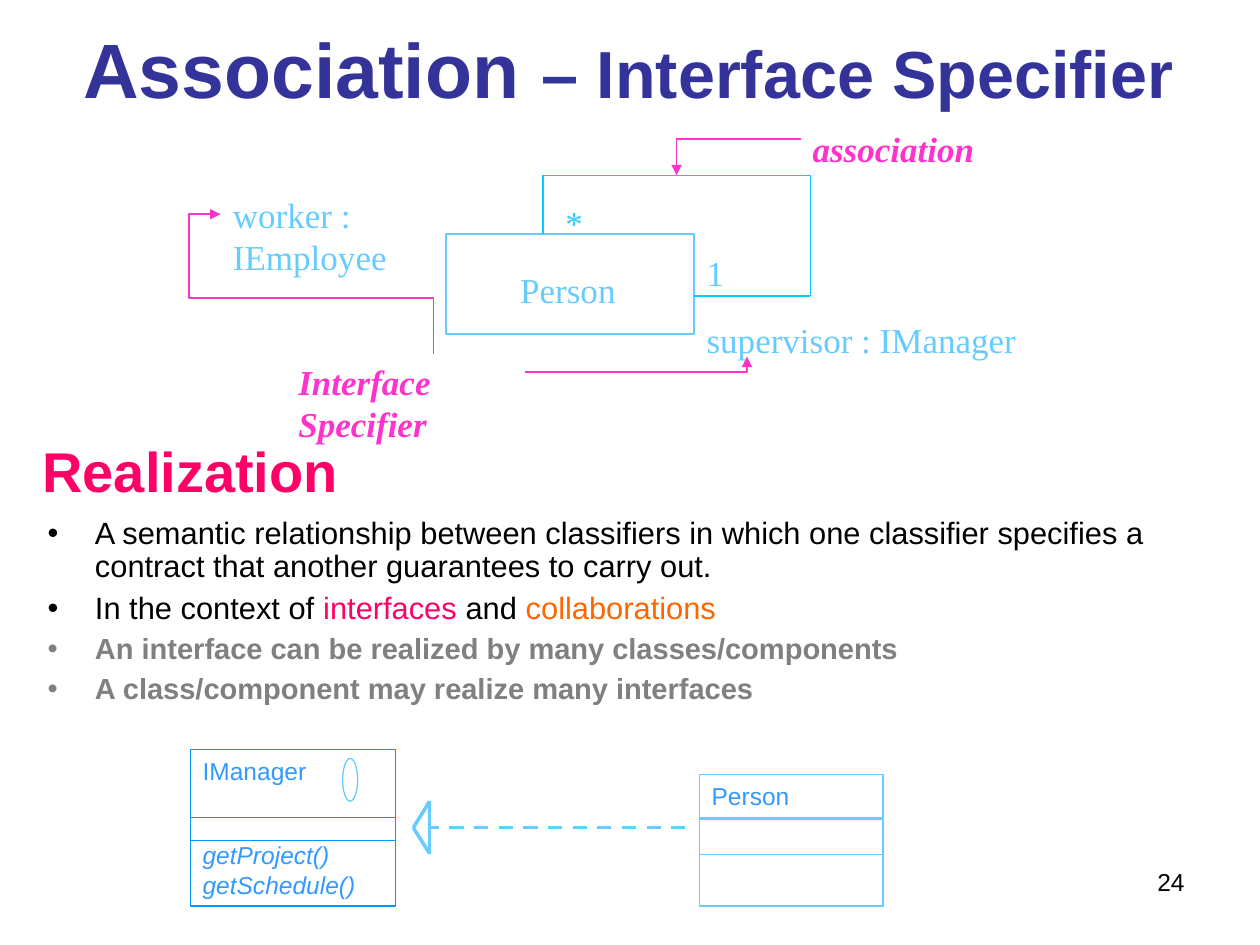
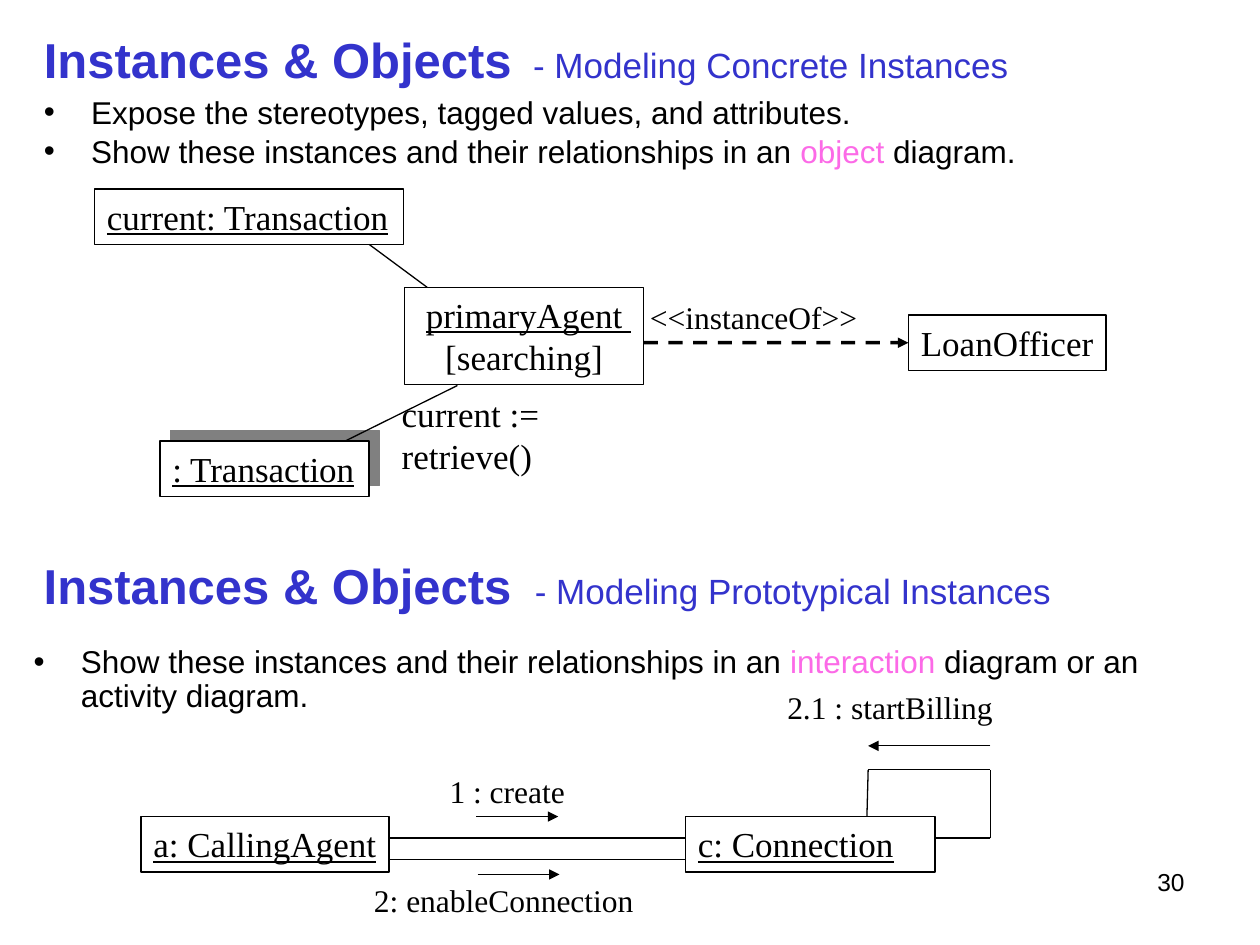
import itertools

import pptx
import pptx.dml.color
import pptx.enum.dml
import pptx.enum.shapes
import pptx.enum.text
import pptx.oxml.ns
import pptx.util
from lxml import etree

Pt = pptx.util.Pt
ALIGN = pptx.enum.text.PP_ALIGN
ANCHOR = pptx.enum.text.MSO_ANCHOR
SHAPE = pptx.enum.shapes.MSO_SHAPE
CONNECTOR = pptx.enum.shapes.MSO_CONNECTOR

BLACK, WHITE, GRAY = "000000", "FFFFFF", "808080"
NAVY, INDIGO = "333399", "3333CC"
SKY, CYAN, AZURE, CLASS_BLUE = "66CCFF", "00CCFF", "0099FF", "3399FF"
MAGENTA, ROSE, ORANGE, PINK = "FF33CC", "FF0066", "FF6600", "FC6AE7"


def style(font, size, color=BLACK, **marks):
    """Return a text style as a dictionary."""
    return dict(font=font, size=size, color=color, **marks)


SERIF = style("Times New Roman", 20)
LABEL = style("Times New Roman", 18)
UNDERLINED = dict(SERIF, underline=True)
CALLOUT = dict(SERIF, color=MAGENTA, bold=True, italic=True)
ROLE = dict(SERIF, color=SKY)
CLASS_TEXT = style("Arial", 14, CLASS_BLUE)
HEADING = style("Arial", 28, INDIGO, bold=True)


def rgb(value):
    """Turn a hex string into a colour."""
    return pptx.dml.color.RGBColor.from_string(value)


def add_xml(parent, tag, **attributes):
    """Append a DrawingML element and return it."""
    element = etree.SubElement(parent, pptx.oxml.ns.qn(tag))
    for key, value in attributes.items():
        element.set(key, str(value))
    return element


def format_run(run, font, size, color, bold=False, italic=False, underline=False):
    """Apply a text style to one run."""
    run.font.name = font
    run.font.size = Pt(size)
    run.font.color.rgb = rgb(color)
    run.font.bold = bold
    run.font.italic = italic
    run.font.underline = underline


def write(shape, paragraphs, base, wrap=False, align=ALIGN.LEFT, anchor=ANCHOR.TOP):
    """Fill a shape with paragraphs, each a string or a list of (text, changes)."""
    frame = shape.text_frame
    frame.word_wrap = wrap
    frame.vertical_anchor = anchor
    if not wrap:
        frame.auto_size = pptx.enum.text.MSO_AUTO_SIZE.SHAPE_TO_FIT_TEXT
    for index, spans in enumerate(paragraphs):
        paragraph = frame.add_paragraph() if index else frame.paragraphs[0]
        paragraph.alignment = align
        for text, changes in [(spans, {})] if isinstance(spans, str) else spans:
            run = paragraph.add_run()
            run.text = text
            format_run(run, **{**base, **changes})
    return frame


def text(slide, box, paragraphs, base, **layout):
    """Add a text box."""
    return write(slide.shapes.add_textbox(*map(Pt, box)), paragraphs, base, **layout)


def bullets(slide, box, paragraphs, base, line_spacing, gap=4.5):
    """Add a bulleted list whose bullets take the colour of their first run."""
    frame = text(slide, box, paragraphs, base, wrap=True)
    for index, paragraph in enumerate(frame.paragraphs):
        paragraph.line_spacing = line_spacing
        if index:
            paragraph.space_before = Pt(gap)
        properties = paragraph._p.get_or_add_pPr()
        properties.set("marL", str(Pt(27)))
        properties.set("indent", str(-Pt(27)))
        color = add_xml(properties, "a:buClr")
        add_xml(color, "a:srgbClr", val=str(paragraph.runs[0].font.color.rgb))
        add_xml(properties, "a:buFont", typeface="Arial")
        add_xml(properties, "a:buChar", char="•")


def outline(slide, box, color=BLACK, width=0.75, kind=SHAPE.RECTANGLE):
    """Add an unfilled outlined shape."""
    shape = slide.shapes.add_shape(kind, *map(Pt, box))
    shape.shadow.inherit = False
    shape.fill.background()
    shape.line.color.rgb = rgb(color)
    shape.line.width = Pt(width)
    return shape


def instance(slide, box, paragraphs, base=UNDERLINED, **layout):
    """Add a box that stands for an object or a class."""
    shape = outline(slide, box)
    write(shape, paragraphs, base, **layout)
    return shape


def cast_shadow(shape):
    """Give a white box a hard grey shadow to the upper right."""
    shape.fill.solid()
    shape.fill.fore_color.rgb = rgb(WHITE)
    effects = shape._element.spPr.find(pptx.oxml.ns.qn("a:effectLst"))
    shadow = add_xml(effects, "a:outerShdw", blurRad=0, dist=Pt(8.5),
                     dir=315 * 60000, algn="ctr", rotWithShape=0)
    add_xml(shadow, "a:srgbClr", val=GRAY)


def connect(slide, start, end, color=BLACK, width=0.75, dashed=False, arrow=False,
            kind=CONNECTOR.STRAIGHT):
    """Add a connector between two points."""
    connector = slide.shapes.add_connector(kind, *map(Pt, (*start, *end)))
    connector.line.color.rgb = rgb(color)
    connector.line.width = Pt(width)
    if dashed:
        connector.line.dash_style = pptx.enum.dml.MSO_LINE.DASH
    if arrow:
        add_xml(connector.line._get_or_add_ln(), "a:tailEnd", type="triangle")
    add_xml(connector._element.spPr, "a:effectLst")
    return connector


def route(slide, points, color=BLACK, width=0.75):
    """Join successive points with straight lines."""
    for start, end in itertools.pairwise(points):
        connect(slide, start, end, color, width)


def elbow(slide, box, preset, rotation=0, adjustments=()):
    """Add a bent magenta arrow that rises across its unrotated box."""
    left, top, width, height = box
    arrow = connect(slide, (left, top + height), (left + width, top), MAGENTA, 1,
                    arrow=True, kind=CONNECTOR.ELBOW)
    properties = arrow._element.spPr
    properties.find(pptx.oxml.ns.qn("a:xfrm")).set("rot", str(rotation * 60000))
    geometry = properties.find(pptx.oxml.ns.qn("a:prstGeom"))
    geometry.set("prst", preset)
    guides = geometry.find(pptx.oxml.ns.qn("a:avLst"))
    for number, value in enumerate(adjustments, 1):
        add_xml(guides, "a:gd", name=f"adj{number}", fmla=f"val {value}")


def page_number(slide, number):
    """Add the page number at the lower right."""
    text(slide, (516, 492, 168, 37), [str(number)], style("Arial", 14),
         wrap=True, align=ALIGN.RIGHT)


def instances_heading(slide, box, topic, gap_size, **layout):
    """Add an Instances & Objects heading with its topic."""
    plain = dict(bold=False)
    spans = [("Instances & Objects", {}), (" ", dict(plain, size=gap_size)),
             (f"- {topic}", dict(plain, size=20))]
    text(slide, box, [spans], HEADING, wrap=True, **layout)


def association(slide):
    """Draw the association between persons with its interface specifiers."""
    outline(slide, (254.9, 133.9, 141.8, 56.9), SKY, 1)
    for box, words, base in [
        ((126, 107.3, 174, 31.7), "worker : IEmployee", ROLE),
        ((396.7, 178.6, 191.5, 31.7), "supervisor : IManager", ROLE),
        ((316, 111.6, 24.5, 31.7), "*", dict(ROLE, color="33CCFF")),
        ((396.7, 140.4, 24.5, 31.7), "1", ROLE),
        ((290.2, 149.8, 69, 31.7), "Person", ROLE),
        ((457.2, 69.1, 111.6, 31.7), "association", CALLOUT),
    ]:
        text(slide, box, [words], base)
    text(slide, (163.4, 202.3, 115, 55), ["Interface Specifier"], CALLOUT, wrap=True)
    elbow(slide, (146.9, 101.5, 79.9, 121.7), "bentConnector4", 270, (40200, 114800))
    elbow(slide, (300.2, 203.8, 126.7, 8.6), "bentConnector2")
    elbow(slide, (386.6, 79.2, 71.3, 20.9), "bentConnector2", 180)
    route(slide, [(396.7, 169.2), (463, 169.2), (463, 100.1), (310.3, 100.1),
                  (310.3, 133.9)], CYAN)


def realization(slide):
    """Draw the class that realizes an interface."""
    text(slide, (108.7, 428.4, 117.4, 24.5), ["IManager"], CLASS_TEXT, wrap=True)
    text(slide, (108.7, 476.6, 117.4, 41), ["getProject()", "getSchedule()"],
         dict(CLASS_TEXT, italic=True), wrap=True)
    connect(slide, (391.7, 473), (245.5, 473), SKY, 2, dashed=True)
    tip, upper, lower = (236.2, 473), (245.5, 457.9), (245.5, 487.8)
    route(slide, [tip, lower, upper, tip], SKY, 2)
    outline(slide, (195.8, 433.4, 8.6, 24.5), SKY, kind=SHAPE.OVAL)
    compartments = [outline(slide, (399.6, top, 105.1, height), SKY)
                    for top, height in [(442.8, 24.5), (468, 20.2), (488.2, 29.5)]]
    write(compartments[0], ["Person"], CLASS_TEXT, wrap=True)
    outline(slide, (108.7, 428.4, 117.4, 89.3), AZURE)
    for y in (467.3, 480.2):
        connect(slide, (108.7, y), (226.5, y), AZURE)


def association_slide(slide):
    """Build the slide on association and realization."""
    text(slide, (35.3, 0, 648, 77),
         [[("Association ", {}), ("– Interface Specifier", dict(size=38))]],
         style("Arial", 44, NAVY, bold=True), wrap=True, align=ALIGN.CENTER,
         anchor=ANCHOR.MIDDLE)
    association(slide)
    text(slide, (13, 244.8, 191.5, 47.5), ["Realization"],
         style("Arial", 32, ROSE, bold=True), wrap=True, align=ALIGN.CENTER,
         anchor=ANCHOR.MIDDLE)
    aside = dict(size=16.6, color=GRAY, bold=True)
    bullets(slide, (20.2, 292.3, 684, 125.3), [
        "A semantic relationship between classifiers in which one classifier "
        "specifies a contract that another guarantees to carry out.",
        [("In the context of ", {}), ("interfaces", dict(color=ROSE)),
         (" and ", {}), ("collaborations", dict(color=ORANGE))],
        [("An interface can be realized by many classes/components", aside)],
        [("A class/component may realize many interfaces", aside)],
    ], style("Arial", 17.6), 0.9, 4.8)
    realization(slide)
    page_number(slide, 24)


def concrete_instances(slide):
    """Draw the object diagram of concrete instances."""
    instance(slide, (54, 108, 176.4, 31.7), ["current: Transaction"])
    instance(slide, (231.1, 164.2, 136.8, 55.4),
             [[(" ", dict(underline=False)), ("primaryAgent ", {})],
              [("[searching]", dict(underline=False))]], align=ALIGN.CENTER)
    cast_shadow(instance(slide, (91.4, 252, 119.5, 31.7), [": Transaction"]))
    officer = instance(slide, (519.1, 180, 113, 31.7), ["LoanOfficer"], SERIF)
    instance_of = connect(slide, (367.9, 195.8), (519.1, 195.8), width=2,
                          dashed=True, arrow=True)
    instance_of.end_connect(officer, 1)
    text(slide, (364.3, 167, 146.9, 28.8), ["<<instanceOf>>"], LABEL)
    connect(slide, (211, 139.7), (244.1, 164.2))
    connect(slide, (261.4, 220.3), (197.3, 252))
    text(slide, (222.5, 221, 172, 31.7), ["current := retrieve()"], SERIF)


def prototypical_instances(slide):
    """Draw the interaction diagram of prototypical instances."""
    instance(slide, (80.6, 466.6, 141.8, 31.7), ["a: CallingAgent"])
    instance(slide, (391.7, 466.6, 142.6, 31.7), ["c: Connection"], wrap=True)
    for y in (478.8, 491):
        connect(slide, (222.5, y), (391.7, y))
    route(slide, [(495.4, 466.6), (496.1, 439.9), (565.9, 439.9),
                  (565.9, 478.8), (534.2, 478.8)])
    for start, end, y in [(272.2, 319, 466.6), (272.9, 319.7, 499.7),
                          (565.9, 496.1, 426.2)]:
        connect(slide, (start, y), (end, y), arrow=True)
    for box, message in [((249.8, 437.8, 92.2, 28.8), "1 : create"),
                         ((206.6, 499.7, 188.6, 28.8), "2: enableConnection"),
                         ((442.8, 389.5, 148.3, 28.8), "2.1 : startBilling")]:
        text(slide, box, [message], LABEL)


def instances_slide(slide):
    """Build the slide on concrete and prototypical instances."""
    body = style("Arial", 18)
    shared = "Show these instances and their relationships in an "
    instances_heading(slide, (18, 0, 589, 54), "Modeling Concrete Instances", 44,
                      anchor=ANCHOR.MIDDLE)
    bullets(slide, (18, 54, 653.8, 54), [
        "Expose the stereotypes, tagged values, and attributes.",
        [(shared, {}), ("object", dict(color=PINK)), (" diagram.", {})],
    ], body, 0.8)
    concrete_instances(slide)
    instances_heading(slide, (0, 293.8, 625.7, 48.2),
                      "Modeling Prototypical Instances", 48, align=ALIGN.CENTER)
    bullets(slide, (12.2, 365.8, 664.6, 48.2), [
        [(shared, {}), ("interaction ", dict(color=PINK)),
         ("diagram or an activity diagram.", {})],
    ], body, 0.9)
    prototypical_instances(slide)
    page_number(slide, 30)


def main():
    """Build and save the presentation."""
    deck = pptx.Presentation()
    deck.slide_width, deck.slide_height = Pt(720), Pt(540)
    blank = deck.slide_layouts[6]
    for build in (association_slide, instances_slide):
        build(deck.slides.add_slide(blank))
    deck.save("out.pptx")


if __name__ == "__main__":
    main()
